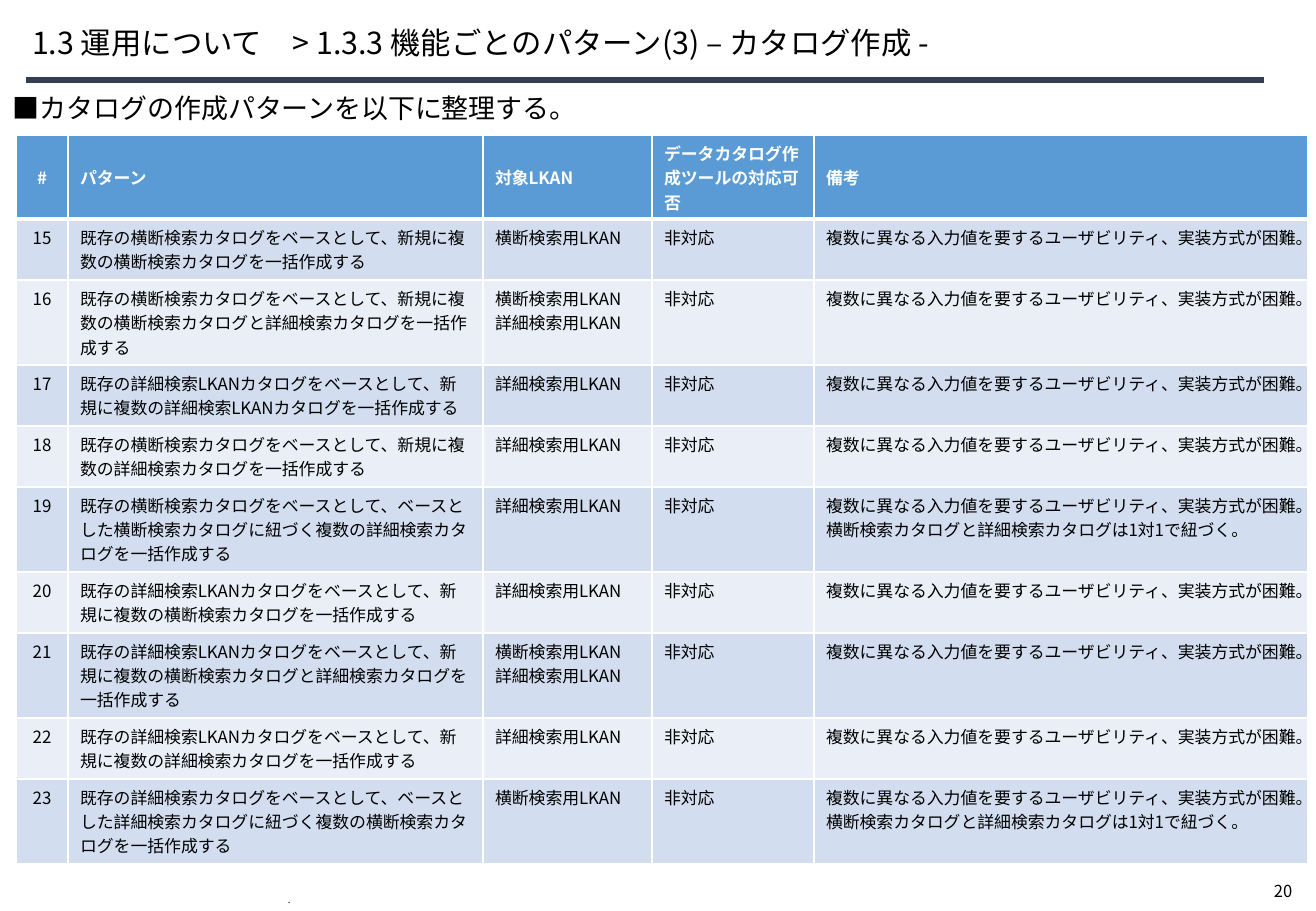
from lxml import etree
from pptx import Presentation
from pptx.dml.color import RGBColor
from pptx.enum.shapes import MSO_CONNECTOR
from pptx.enum.text import MSO_ANCHOR, PP_ALIGN
from pptx.oxml.ns import qn
from pptx.util import Pt

SCALE = 7526
FONT = "Noto Sans CJK JP"
BLACK = RGBColor(0x00, 0x00, 0x00)
WHITE = RGBColor(0xFF, 0xFF, 0xFF)
NAVY = RGBColor(0x33, 0x3F, 0x50)
BLUE = RGBColor(0x5B, 0x9B, 0xD5)
BANDS = (RGBColor(0xD2, 0xDE, 0xEF), RGBColor(0xEA, 0xEF, 0xF7))
TOP, MIDDLE, BOTTOM = MSO_ANCHOR.TOP, MSO_ANCHOR.MIDDLE, MSO_ANCHOR.BOTTOM
LEFT, CENTER = PP_ALIGN.LEFT, PP_ALIGN.CENTER
STRAIGHT = MSO_CONNECTOR.STRAIGHT

WIDTHS = (52, 415, 169, 162, 494)
HEAD = ("#", "パターン", "対象LKAN", "データカタログ作成ツールの対応可否", "備考")
CROSS, DETAIL = "横断検索用LKAN", "詳細検索用LKAN"
BOTH = f"{CROSS}\n{DETAIL}"
HARD = "複数に異なる入力値を要するユーザビリティ、実装方式が困難。"
PAIR = f"{HARD}\n横断検索カタログと詳細検索カタログは1対1で紐づく。"
FIRST = 15
ROWS = (
    (2, "既存の横断検索カタログをベースとして、新規に複数の横断検索カタログを一括作成する", CROSS, HARD),
    (3, "既存の横断検索カタログをベースとして、新規に複数の横断検索カタログと詳細検索カタログを一括作成する", BOTH, HARD),
    (2, "既存の詳細検索LKANカタログをベースとして、新規に複数の詳細検索LKANカタログを一括作成する", DETAIL, HARD),
    (2, "既存の横断検索カタログをベースとして、新規に複数の詳細検索カタログを一括作成する", DETAIL, HARD),
    (3, "既存の横断検索カタログをベースとして、ベースとした横断検索カタログに紐づく複数の詳細検索カタログを一括作成する", DETAIL, PAIR),
    (2, "既存の詳細検索LKANカタログをベースとして、新規に複数の横断検索カタログを一括作成する", DETAIL, HARD),
    (3, "既存の詳細検索LKANカタログをベースとして、新規に複数の横断検索カタログと詳細検索カタログを一括作成する", BOTH, HARD),
    (2, "既存の詳細検索LKANカタログをベースとして、新規に複数の詳細検索カタログを一括作成する", DETAIL, HARD),
    (3, "既存の詳細検索カタログをベースとして、ベースとした詳細検索カタログに紐づく複数の横断検索カタログを一括作成する", CROSS, PAIR),
)


def px(num):
    """Turn pixels into EMU."""
    return num * SCALE


class Page:
    """Hold the style and the current slide."""

    def __init__(self, deck):
        """Add a blank slide to the deck."""
        self.slide = deck.slides.add_slide(deck.slide_layouts[6])
        self.shapes = self.slide.shapes

    def fill(self, frame, text, size, color=BLACK, bold=False, align=LEFT, lead=None):
        """Fill a text frame, one paragraph a line."""
        for num, line in enumerate(text.split("\n")):
            para = frame.add_paragraph() if num else frame.paragraphs[0]
            para.alignment = align
            if lead:
                para.line_spacing = lead
            run = para.add_run()
            run.text = line
            font = run.font
            font.size, font.bold, font.name = Pt(size), bold, FONT
            font.color.rgb = color
            etree.SubElement(run._r.get_or_add_rPr(), qn("a:ea"), typeface=FONT)

    def text(self, box, text, size, anchor=TOP, wrap=True, inset=None, lead=None):
        """Add a text box."""
        frame = self.shapes.add_textbox(*map(px, box)).text_frame
        frame.word_wrap = wrap
        frame.vertical_anchor = anchor
        if inset is not None:
            frame.margin_left = px(inset)
        self.fill(frame, text, size, lead=lead)

    def rule(self, left, right, top, color, width):
        """Add a level line."""
        line = self.shapes.add_connector(STRAIGHT, px(left), px(top), px(right), px(top))
        line.line.color.rgb = color
        line.line.width = Pt(width)
        etree.SubElement(line._element.spPr, qn("a:effectLst"))

    def edge(self, cell, sizes):
        """Draw white cell borders: left, right, top, bottom."""
        props = cell._tc.get_or_add_tcPr()
        for num, (side, size) in enumerate(zip("LRTB", sizes)):
            line = etree.Element(qn(f"a:ln{side}"), w=str(Pt(size)))
            fill = etree.SubElement(line, qn("a:solidFill"))
            etree.SubElement(fill, qn("a:srgbClr"), val=str(WHITE))
            props.insert(num, line)

    def table(self, left, top, widths, heights, rows, size):
        """Add a table with a head row and banded rows."""
        grid = self.shapes.add_table(
            len(rows), len(widths), px(left), px(top), px(sum(widths)), px(sum(heights))
        ).table
        for col, width in zip(grid.columns, widths):
            col.width = px(width)
        for num, (row, height, texts) in enumerate(zip(grid.rows, heights, rows)):
            row.height = px(height)
            head = num == 0
            for col, (cell, text) in enumerate(zip(row.cells, texts)):
                cell.fill.solid()
                cell.fill.fore_color.rgb = BLUE if head else BANDS[(num - 1) % 2]
                cell.vertical_anchor = MIDDLE if head else TOP
                self.edge(cell, (1, 1, 3 if num == 1 else 1, 3 if head else 1))
                self.fill(cell.text_frame, text, size, WHITE if head else BLACK,
                          head, LEFT if col else CENTER)


def main():
    """Build the slide."""
    deck = Presentation()
    deck.slide_width, deck.slide_height = px(1316), px(911)
    page = Page(deck)
    page.text((1262, 875, 52, 33), "20", 9.8, wrap=False)
    page.rule(26, 1264, 80, NAVY, 3)
    page.text((276, 894, 765, 17), ".", 5.7, BOTTOM, lead=Pt(1.6))
    page.text((32, 16, 1205, 57), "1.3 運用について　> 1.3.3 機能ごとのパターン(3) – カタログ作成 -",
              18, MIDDLE, inset=0, lead=0.9)
    rows = [HEAD] + [(str(num), plan, goal, "非対応", note)
                     for num, (_, plan, goal, note) in enumerate(ROWS, FIRST)]
    heights = [84] + [12 + round(24.4 * lines) for lines, *_ in ROWS]
    page.table(16, 135, WIDTHS, heights, rows, 10)
    page.text((1, 86, 1234, 57), "■カタログの作成パターンを以下に整理する。", 16)
    deck.save("out.pptx")


if __name__ == "__main__":
    main()
